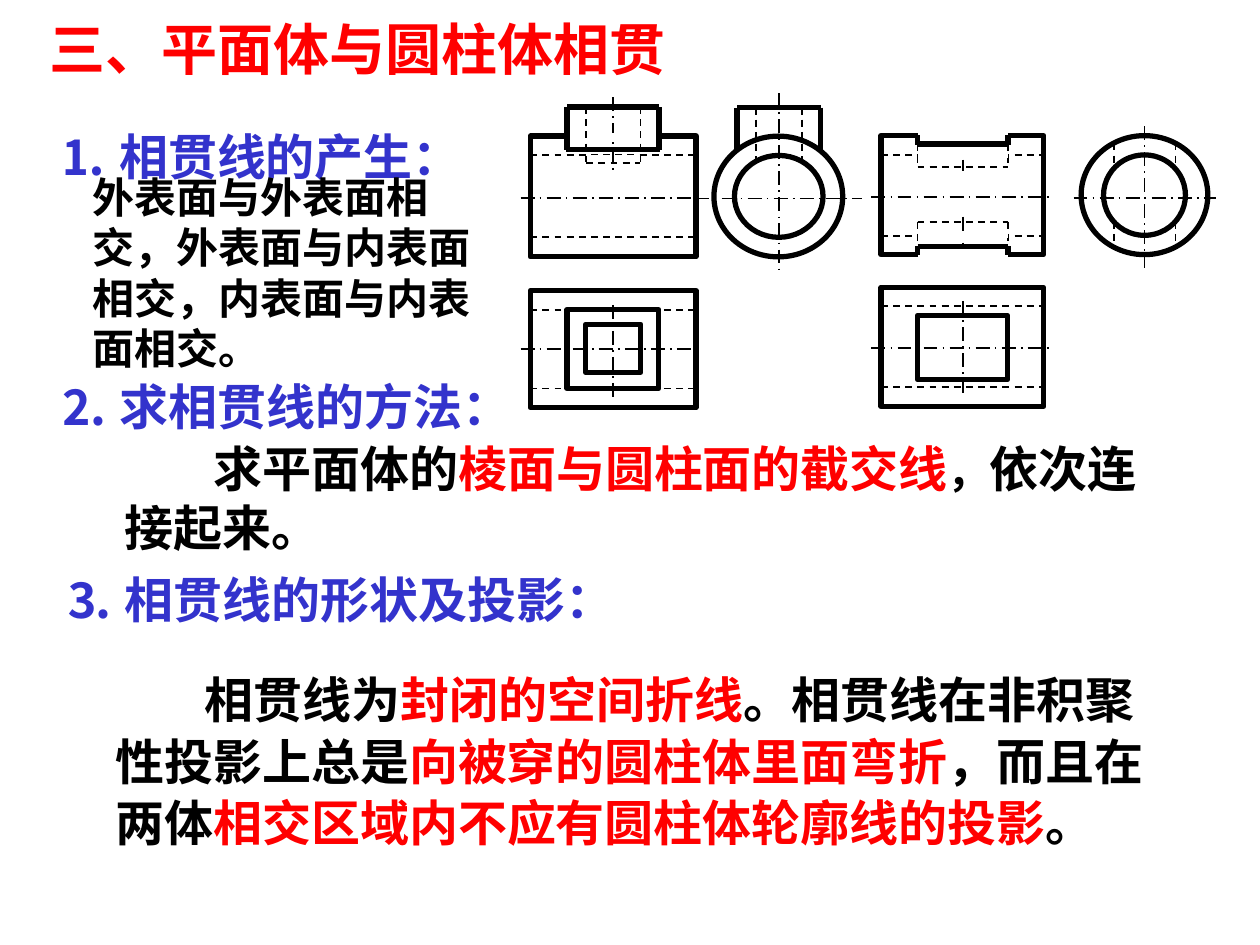
"""Build a slide on the intersection of flat-faced solids with cylinders."""
from dataclasses import dataclass
from typing import NamedTuple

from lxml import etree
from pptx import Presentation
from pptx.dml.color import RGBColor
from pptx.enum.dml import MSO_LINE
from pptx.enum.shapes import MSO_CONNECTOR, MSO_SHAPE
from pptx.enum.text import MSO_ANCHOR, MSO_AUTO_SIZE
from pptx.oxml.ns import qn
from pptx.slide import Slide
from pptx.util import Pt

DASH = MSO_LINE.DASH
CENTRE_DASH = MSO_LINE.LONG_DASH_DOT
RECTANGLE = MSO_SHAPE.RECTANGLE
ELLIPSE = MSO_SHAPE.OVAL
STRAIGHT = MSO_CONNECTOR.STRAIGHT
MIDDLE = MSO_ANCHOR.MIDDLE
FIT_SHAPE = MSO_AUTO_SIZE.SHAPE_TO_FIT_TEXT


@dataclass(frozen=True)
class Theme:
    font: str = "Times New Roman"
    black: RGBColor = RGBColor(0x00, 0x00, 0x00)
    white: RGBColor = RGBColor(0xFF, 0xFF, 0xFF)
    red: RGBColor = RGBColor(0xFF, 0x00, 0x00)
    blue: RGBColor = RGBColor(0x33, 0x33, 0xCC)
    title_size: float = 32
    body_size: float = 28
    small_size: float = 24


THEME = Theme()


class Pen(NamedTuple):
    width: float
    color: RGBColor = THEME.black
    dash: MSO_LINE | None = None


VISIBLE = Pen(3)
HIDDEN = Pen(1, dash=DASH)
AXIS = Pen(1, dash=CENTRE_DASH)
THIN_ERASER = Pen(0.75, THEME.white)
ERASER = Pen(3, THEME.white)
WIDE_ERASER = Pen(6, THEME.white)


class Outline(NamedTuple):
    kind: MSO_SHAPE
    left: float
    top: float
    width: float
    height: float


class Stroke(NamedTuple):
    x1: float
    y1: float
    x2: float
    y2: float
    pen: Pen


class Span(NamedTuple):
    text: str
    color: RGBColor = THEME.black
    size: float | None = None


class TextBlock(NamedTuple):
    left: float
    top: float
    width: float
    height: float
    spans: list[Span]
    size: float = THEME.body_size
    wrap: bool = True
    indent: float = 0
    line_spacing: float | None = None


def horizontals(x1: float, x2: float, levels: list[float], pen: Pen) -> list[Stroke]:
    return [Stroke(x1, y, x2, y, pen) for y in levels]


def verticals(y1: float, y2: float, columns: list[float], pen: Pen) -> list[Stroke]:
    return [Stroke(x, y1, x, y2, pen) for x in columns]


BOSS_DRAWING = [
    *horizontals(397.5, 492.5, [113.5], AXIS),
    *verticals(53.3, 154.8, [445], AXIS),
    Outline(ELLIPSE, 408, 77.8, 73.6, 69),
    *horizontals(421.2, 469, [61.5], VISIBLE),
    *verticals(61.5, 85.5, [421.2, 469], VISIBLE),
    Outline(ELLIPSE, 419.7, 88.8, 50.6, 46.8),
    *verticals(61.5, 94.3, [432, 458.3], HIDDEN),
    *horizontals(303, 397.7, [88.8, 135.5, 177, 222], HIDDEN),
    Outline(RECTANGLE, 303, 77.8, 94.7, 69),
    *horizontals(297.5, 400.5, [113.3, 199.4], AXIS),
    Outline(RECTANGLE, 303, 166, 94.7, 67),
    Outline(RECTANGLE, 324, 177, 52.5, 45),
    *horizontals(323.5, 377, [85.5], VISIBLE),
    Outline(RECTANGLE, 334.6, 185.3, 31.6, 27.5),
    *horizontals(335, 366, [93], HIDDEN),
    *verticals(88.8, 94.3, [334.8, 366], HIDDEN),
    *horizontals(334.8, 366, [88.8], THIN_ERASER),
    *verticals(174.2, 229.7, [350.2], AXIS),
    *verticals(55.5, 100, [350.2], AXIS),
    *horizontals(324, 376.5, [77.8], ERASER),
    *verticals(61.2, 88.8, [334.8, 366], HIDDEN),
    *verticals(61.2, 86, [324, 376.5], VISIBLE),
    *horizontals(324, 376.5, [61.2], VISIBLE),
]

SLOT_DRAWING = [
    *horizontals(613.5, 695, [113], AXIS),
    *verticals(72, 153.3, [654], AXIS),
    Outline(ELLIPSE, 617.8, 77.5, 72.4, 68),
    Outline(ELLIPSE, 630.6, 88.5, 46.8, 46),
    *verticals(82, 95.7, [636.5, 671.7], HIDDEN),
    *verticals(126.7, 141, [636.5, 671.7], HIDDEN),
    *horizontals(503.4, 596.4, [88.5, 134.7, 175, 221], HIDDEN),
    Outline(RECTANGLE, 503.4, 77.5, 93, 68),
    *horizontals(498, 600, [112.5, 198.7], AXIS),
    Outline(RECTANGLE, 503.4, 164.2, 93, 68),
    Outline(RECTANGLE, 524.3, 180.2, 51.6, 36.7),
    *verticals(172, 226.8, [550.2], AXIS),
    *verticals(76.3, 98, [550.2], AXIS),
    *verticals(123.8, 147, [550.2], AXIS),
    *horizontals(524.3, 576, [82.3, 141], VISIBLE),
    *horizontals(524.3, 576, [77.5, 145.5], WIDE_ERASER),
    *verticals(77.3, 82.6, [524.3, 576], VISIBLE),
    *verticals(140.6, 146, [524.3, 576], VISIBLE),
    *horizontals(524.3, 576, [95.5, 126.7], HIDDEN),
    *verticals(82.3, 95.5, [524.3, 576], HIDDEN),
    *verticals(126.7, 141, [524.3, 576], HIDDEN),
    *horizontals(524.3, 576, [88.5, 134.7], ERASER),
]

TEXT_BLOCKS = [
    TextBlock(21, 4.5, 372, 46, [Span("三、平面体与圆柱体相贯", THEME.red)],
              THEME.title_size, wrap=False),
    TextBlock(26.7, 68.4, 248, 41, [Span("⒈ 相贯线的产生：", THEME.blue)], wrap=False),
    TextBlock(27, 211.7, 276, 41, [Span("⒉ 求相贯线的方法：", THEME.blue)], wrap=False),
    TextBlock(30, 321.5, 332, 41, [Span("⒊ 相贯线的形状及投影：", THEME.blue)], wrap=False),
    TextBlock(46, 108.7, 245.5, 93.6,
              [Span("外表面与外表面相交，外表面与内表面相交，内表面与内表面相交。")],
              THEME.small_size),
    TextBlock(64, 247, 617.8, 74.9, [
        Span("求平面体的"),
        Span("棱面与圆柱面的截交线", THEME.red),
        Span("，", size=THEME.small_size),
        Span("依次连接起来。"),
    ], indent=51),
    TextBlock(59, 377.3, 607, 113, [
        Span("相贯线为"),
        Span("封闭的空间折线", THEME.red),
        Span("。相贯线在非积聚性投影上总是"),
        Span("向被穿的圆柱体里面弯折", THEME.red),
        Span("，而且在两体"),
        Span("相交区域内不应有圆柱体轮廓线的投影", THEME.red),
        Span("。"),
    ], indent=51, line_spacing=1.05),
]


def apply_pen(line, pen: Pen) -> None:
    line.width = Pt(pen.width)
    line.color.rgb = pen.color
    if pen.dash is not None:
        line.dash_style = pen.dash


def draw_outline(slide: Slide, outline: Outline) -> None:
    kind, *box = outline
    shape = slide.shapes.add_shape(kind, *map(Pt, box))
    shape.shadow.inherit = False
    shape.fill.background()
    apply_pen(shape.line, VISIBLE)


def draw_stroke(slide: Slide, stroke: Stroke) -> None:
    *ends, pen = stroke
    connector = slide.shapes.add_connector(STRAIGHT, *map(Pt, ends))
    apply_pen(connector.line, pen)
    properties = connector._element.find(qn("p:spPr"))
    etree.SubElement(properties, qn("a:effectLst"))


def draw_text(slide: Slide, block: TextBlock) -> None:
    shape = slide.shapes.add_textbox(*map(Pt, block[:4]))
    frame = shape.text_frame
    frame.word_wrap = block.wrap
    frame.auto_size = FIT_SHAPE
    frame.vertical_anchor = MIDDLE
    paragraph = frame.paragraphs[0]
    paragraph.line_spacing = block.line_spacing
    properties = paragraph._p.get_or_add_pPr()
    properties.set("indent", str(Pt(block.indent)))
    properties.set("hangingPunct", "0")
    paragraph.font.name = THEME.font
    paragraph.font.size = Pt(block.size)
    paragraph.font.bold = True
    for span in block.spans:
        run = paragraph.add_run()
        run.text = span.text
        run.font.color.rgb = span.color
        if span.size:
            run.font.size = Pt(span.size)


def main() -> None:
    presentation = Presentation()
    presentation.slide_width, presentation.slide_height = Pt(720), Pt(540)
    slide = presentation.slides.add_slide(presentation.slide_layouts[6])
    for item in BOSS_DRAWING + SLOT_DRAWING:
        draw = draw_outline if isinstance(item, Outline) else draw_stroke
        draw(slide, item)
    for block in TEXT_BLOCKS:
        draw_text(slide, block)
    presentation.save("out.pptx")


if __name__ == "__main__":
    main()
